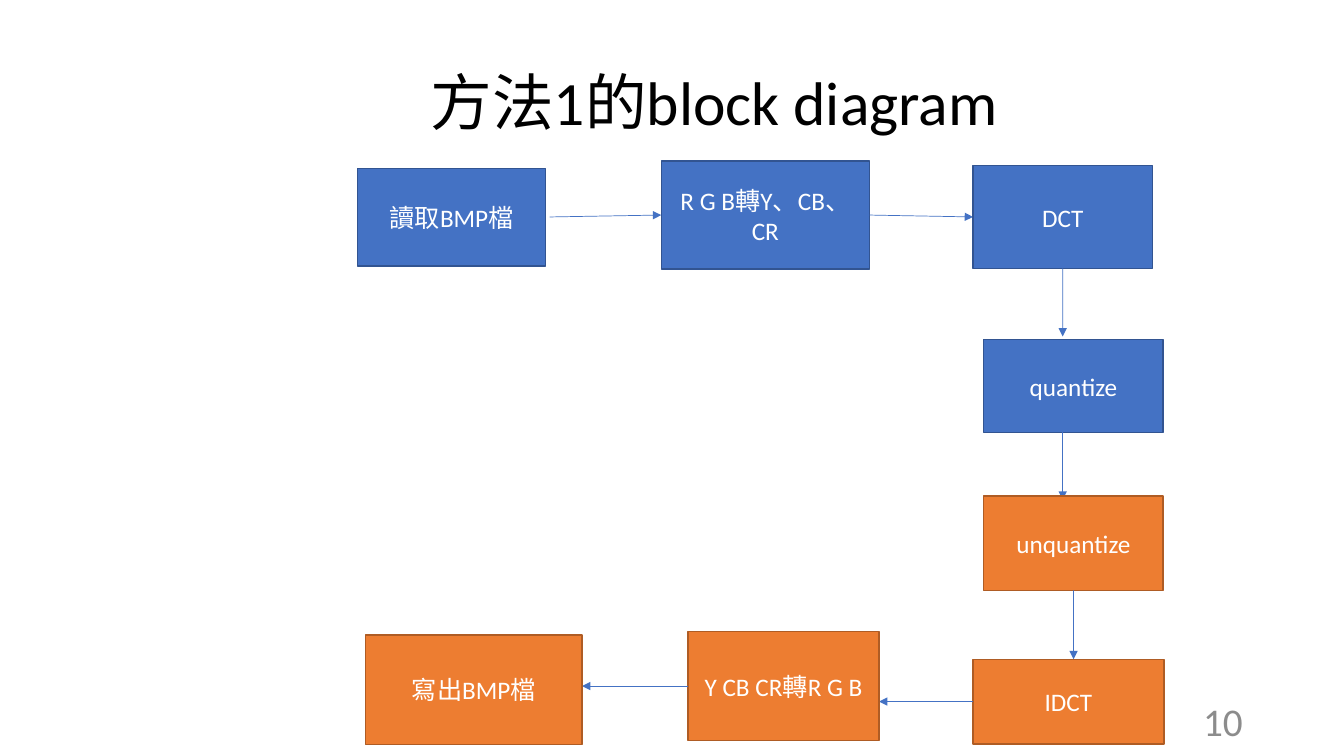
from collections import namedtuple
from dataclasses import dataclass

from pptx import Presentation
from pptx.dml.color import RGBColor
from pptx.enum.shapes import MSO_CONNECTOR, MSO_SHAPE
from pptx.enum.text import MSO_ANCHOR, PP_ALIGN
from pptx.oxml.ns import qn
from pptx.util import Inches, Pt
from lxml.etree import SubElement


@dataclass(frozen=True)
class Theme:
    font: str = "Calibri"
    title_size: int = 44
    step_size: int = 18
    number_size: int = 28
    title: str = "000000"
    step_text: str = "FFFFFF"
    number: str = "8C8C8C"
    arrow: str = "4472C4"
    encode: tuple = ("4472C4", "325491")
    decode: tuple = ("ED7D31", "AF5C24")


THEME = Theme()
WIDTH, HEIGHT = Inches(13.33), Inches(7.5)
TOP, LEFT, BOTTOM, RIGHT = range(4)

Box = namedtuple("Box", "left top width height")
# An arrow end is a side to join, or a point in percent of the diagram box.
Arrow = namedtuple("Arrow", "start end")
# The arrow of a step leads to it from the step before.
Step = namedtuple("Step", "text box colors arrow")

STEPS = [
    Step("讀取BMP檔", (26.6, 22.3, 14, 12.9), THEME.encode, None),
    Step("R G B轉Y、CB、CR", (49.2, 21.3, 15.5, 14.3), THEME.encode,
         Arrow((40.9, 28.7), LEFT)),
    Step("DCT", (72.4, 21.9, 13.35, 13.6), THEME.encode, Arrow(RIGHT, LEFT)),
    Step("quantize", (73.2, 44.9, 13.35, 12.3), THEME.encode,
         Arrow(BOTTOM, (79.07, 44.5))),
    Step("unquantize", (73.2, 65.6, 13.35, 12.5), THEME.decode,
         Arrow((79.07, 57.2), (79.07, 66.1))),
    Step("IDCT", (72.4, 87.2, 14.2, 11.2), THEME.decode,
         Arrow(BOTTOM, (79.88, 87.2))),
    Step("Y CB CR轉R G B", (51.2, 83.5, 14.2, 14.5), THEME.decode,
         Arrow(LEFT, (65.4, 92.8))),
    Step("寫出BMP檔", (27.2, 84, 16.1, 14.5), THEME.decode,
         Arrow(LEFT, (43.3, 90.75))),
]


def point_in(box, x, y):
    return (int(box.left + box.width * x / 100),
            int(box.top + box.height * y / 100))


def part_of(box, left, top, width, height):
    return Box(*point_in(box, left, top),
               int(box.width * width / 100), int(box.height * height / 100))


def write(shape, text, size, color, alignment):
    frame = shape.text_frame
    frame.word_wrap = True
    frame.vertical_anchor = MSO_ANCHOR.MIDDLE
    frame.text = text
    paragraph = frame.paragraphs[0]
    paragraph.alignment = alignment
    font = paragraph.runs[0].font
    font.name, font.size = THEME.font, Pt(size)
    font.color.rgb = RGBColor.from_string(color)
    return paragraph


def add_title(slide, box, text):
    title = slide.shapes.add_textbox(*box)
    paragraph = write(title, text, THEME.title_size, THEME.title, PP_ALIGN.LEFT)
    paragraph.line_spacing = 0.9


def add_slide_number(slide, box, text):
    number = slide.shapes.add_textbox(*box)
    write(number, text, THEME.number_size, THEME.number, PP_ALIGN.RIGHT)


def add_step(slide, box, step):
    shape = slide.shapes.add_shape(MSO_SHAPE.RECTANGLE, *box)
    shape.shadow.inherit = False
    fill, line = step.colors
    shape.fill.solid()
    shape.fill.fore_color.rgb = RGBColor.from_string(fill)
    shape.line.color.rgb = RGBColor.from_string(line)
    shape.line.width = Pt(1)
    write(shape, step.text, THEME.step_size, THEME.step_text, PP_ALIGN.CENTER)
    return shape


def add_arrow(slide, box, arrow, source):
    """Draw an arrow; an end that joins a later shape stays at the corner."""
    start, end = (point_in(box, *place) if isinstance(place, tuple)
                  else (box.left, box.top) for place in arrow)
    connector = slide.shapes.add_connector(MSO_CONNECTOR.STRAIGHT, *start, *end)
    if not isinstance(arrow.start, tuple):
        connector.begin_connect(source, arrow.start)
    connector.line.color.rgb = RGBColor.from_string(THEME.arrow)
    connector.line.width = Pt(0.5)
    properties = connector._element.spPr
    SubElement(properties.find(qn("a:ln")), qn("a:tailEnd"), type="triangle")
    SubElement(properties, qn("a:effectLst"))
    return connector


def add_block_diagram(slide, box, steps):
    previous = None
    for step in steps:
        connector = None
        if step.arrow:
            connector = add_arrow(slide, box, step.arrow, previous)
        shape = add_step(slide, part_of(box, *step.box), step)
        if connector and not isinstance(step.arrow.end, tuple):
            connector.end_connect(shape, step.arrow.end)
        previous = shape


def main():
    presentation = Presentation()
    presentation.slide_width, presentation.slide_height = WIDTH, HEIGHT
    slide = presentation.slides.add_slide(presentation.slide_layouts[6])
    page = Box(0, 0, WIDTH, HEIGHT)
    add_title(slide, part_of(page, 31.3, 4.3, 63.7, 19.3), "方法1的block diagram")
    add_block_diagram(slide, page, STEPS)
    add_slide_number(slide, part_of(page, 70.7, 92.7, 22.5, 5.3), "10")
    presentation.save("out.pptx")


if __name__ == "__main__":
    main()
